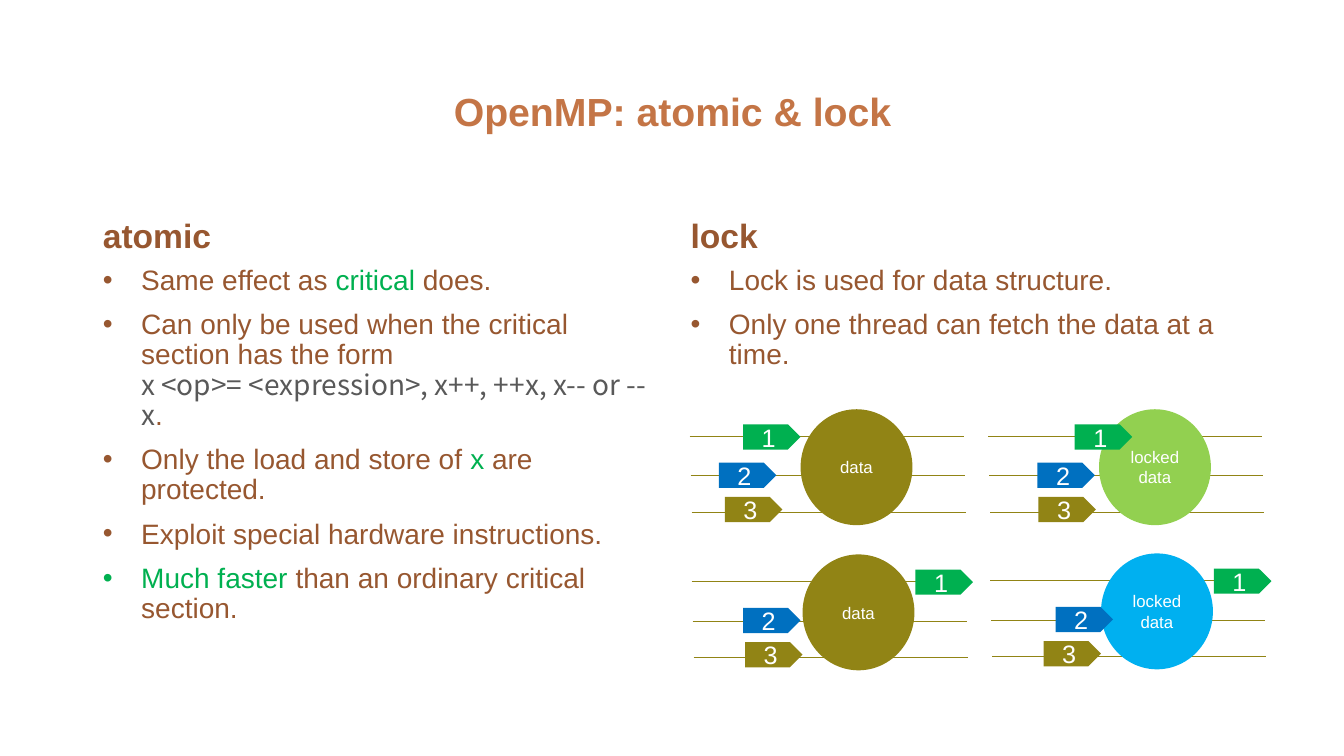
import dataclasses

import lxml.etree
import pptx
import pptx.dml.color
import pptx.enum.shapes
import pptx.enum.text
import pptx.oxml.ns
import pptx.util

Inches = pptx.util.Inches
Anchor = pptx.enum.text.MSO_ANCHOR
Align = pptx.enum.text.PP_ALIGN
Preset = pptx.enum.shapes.MSO_SHAPE


@dataclasses.dataclass(frozen=True)
class Theme:
    """Colours, fonts and type sizes of the slide."""
    title: str = "C47546"
    body: str = "975730"
    code: str = "595959"
    green: str = "00B050"
    blue: str = "0070C0"
    olive: str = "918415"
    lime: str = "92D050"
    sky: str = "00B0F0"
    white: str = "FFFFFF"
    font: str = "Arial"
    code_font: str = "Noto Sans CJK SC"
    title_size: int = 28
    heading_size: int = 24
    list_size: int = 20
    tag_size: int = 18
    data_size: int = 12


THEME = Theme()

ATOMIC_POINTS = [
    [("Same effect as ", "body"), ("critical", "green"), (" does.", "body")],
    [("Can only be used when the critical section has the form ", "body"), None,
     ("x <op>= <expression>, x++, ++x, x-- or --x", "code"), (".", "body")],
    [("Only the load and store of ", "body"), ("x", "green"), (" are protected.", "body")],
    [("Exploit special hardware instructions.", "body")],
    [("Much faster", "green"), (" than an ordinary critical section.", "body")],
]
LOCK_POINTS = [
    [("Lock is used for data structure.", "body")],
    [("Only one thread can fetch the data at a time.", "body")],
]
PANELS = [
    (6.84, 4.06, "data", THEME.olive, (0.53, 0.29, 0.35)),
    (9.80, 4.06, "locked data", THEME.lime, (0.86, 0.49, 0.50)),
    (6.86, 5.50, "data", THEME.olive, (2.22, 0.51, 0.53)),
    (9.82, 5.49, "locked data", THEME.sky, (2.22, 0.65, 0.53)),
]
THREADS = [(0.27, 0.15, THEME.green), (0.66, 0.53, THEME.blue), (1.02, 0.87, THEME.olive)]


def rgb(value):
    """Turn a hex string into a colour."""
    return pptx.dml.color.RGBColor.from_string(value)


def set_font(font, size, color, bold=False, name=THEME.font):
    """Apply type size, colour, weight and face to a font."""
    font.size = pptx.util.Pt(size)
    font.color.rgb = rgb(color)
    font.bold = bold
    font.name = name


def place(holder, left, top, width, height, anchor):
    """Move a placeholder to its box and return its text frame."""
    holder.left, holder.top = Inches(left), Inches(top)
    holder.width, holder.height = Inches(width), Inches(height)
    frame = holder.text_frame
    frame.word_wrap = True
    frame.auto_size = pptx.enum.text.MSO_AUTO_SIZE.NONE
    frame.vertical_anchor = anchor
    return frame


def write_heading(frame, text, size, color, align, before):
    """Write a single bold line into a text frame."""
    heading = frame.paragraphs[0]
    heading.text = text
    heading.alignment = align
    heading.line_spacing = 0.9
    heading.space_before = pptx.util.Pt(before)
    set_font(heading.font, size, color, bold=True)


def write_point(point, pieces):
    """Write one bulleted point from coloured pieces, None being a line break."""
    point.line_spacing = 0.9
    point.space_before = pptx.util.Pt(10)
    set_font(point.font, THEME.list_size, THEME.body)
    properties = point._p.get_or_add_pPr()
    properties.set("marL", str(Inches(0.38)))
    properties.set("indent", str(Inches(-0.38)))
    bullet = lxml.etree.Element(pptx.oxml.ns.qn("a:buChar"), char="•")
    properties.find(pptx.oxml.ns.qn("a:defRPr")).addprevious(bullet)
    for piece in pieces:
        if piece is None:
            point.add_line_break()
            continue
        text, role = piece
        run = point.add_run()
        run.text = text
        if role != "body":
            run.font.color.rgb = rgb(getattr(THEME, role))
        if role == "code":
            run.font.name = THEME.code_font


def build_column(heading_holder, list_holder, left, top, width, heading, points):
    """Place a heading with its bulleted list below it."""
    heading_frame = place(heading_holder, left, top, width, 0.9, Anchor.BOTTOM)
    write_heading(heading_frame, heading, THEME.heading_size, THEME.body, Align.LEFT, 10)
    frame = place(list_holder, left, top + 0.9, width, 4.03, Anchor.TOP)
    for number, pieces in enumerate(points):
        point = frame.add_paragraph() if number else frame.paragraphs[0]
        write_point(point, pieces)


def add_label(shapes, preset, left, top, width, height, text, size, fill):
    """Add a filled shape with centred white text."""
    label = shapes.add_shape(preset, Inches(left), Inches(top), Inches(width), Inches(height))
    label.shadow.inherit = False
    label.fill.solid()
    label.fill.fore_color.rgb = rgb(fill)
    label.line.fill.background()
    label.text_frame.vertical_anchor = Anchor.MIDDLE
    caption = label.text_frame.paragraphs[0]
    caption.text = text
    caption.alignment = Align.CENTER
    set_font(caption.font, size, THEME.white)


def add_track(shapes, left, top, width):
    """Add the thin line that a thread runs along."""
    track = shapes.add_connector(
        pptx.enum.shapes.MSO_CONNECTOR.STRAIGHT,
        Inches(left), Inches(top), Inches(left + width), Inches(top))
    track.line.color.rgb = rgb(THEME.olive)
    track.line.width = pptx.util.Pt(0.5)
    lxml.etree.SubElement(track._element.spPr, pptx.oxml.ns.qn("a:effectLst"))


def build_panel(slide, left, top, data, fill, tag_offsets):
    """Draw three threads on their tracks around one data circle."""
    shapes = slide.shapes.add_group_shape().shapes
    for number, (track_y, _, _) in enumerate(THREADS):
        add_track(shapes, left + 0.01 * number, top + track_y, 2.72)
    add_label(shapes, Preset.OVAL, left + 1.1, top, 1.11, 1.15, data, THEME.data_size, fill)
    for number, (offset, (_, tag_y, color)) in enumerate(zip(tag_offsets, THREADS), 1):
        add_label(shapes, Preset.PENTAGON, left + offset, top + tag_y, 0.57, 0.25,
                  str(number), THEME.tag_size, color)


def build_slide(deck):
    """Build the comparison of atomic and lock."""
    slide = deck.slides.add_slide(deck.slide_layouts[4])
    holders = {holder.placeholder_format.idx: holder for holder in slide.placeholders}
    title_frame = place(holders[0], 0.92, 0.4, 11.5, 1.45, Anchor.MIDDLE)
    write_heading(title_frame, "OpenMP: atomic & lock", THEME.title_size, THEME.title,
                  Align.CENTER, 0)
    build_column(holders[1], holders[2], 0.92, 1.69, 5.64, "atomic", ATOMIC_POINTS)
    build_column(holders[3], holders[4], 6.75, 1.69, 5.67, "lock", LOCK_POINTS)
    for panel in PANELS:
        build_panel(slide, *panel)
    for holder in list(slide.placeholders):
        if not holder.text_frame.text:
            holder._element.getparent().remove(holder._element)


def main():
    """Create the deck and save it."""
    deck = pptx.Presentation()
    deck.slide_width, deck.slide_height = Inches(13.33), Inches(7.5)
    build_slide(deck)
    deck.save("out.pptx")


if __name__ == "__main__":
    main()
